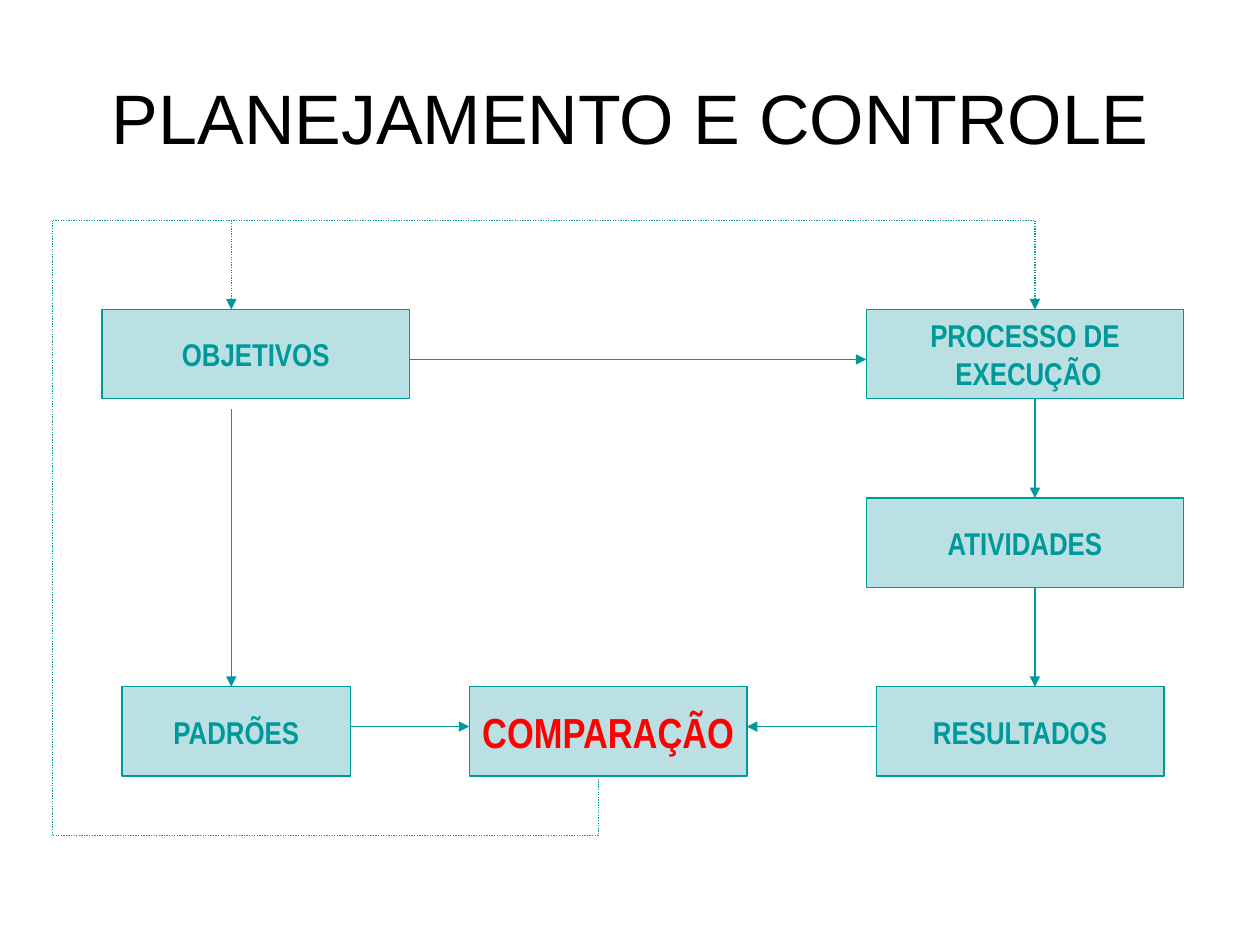
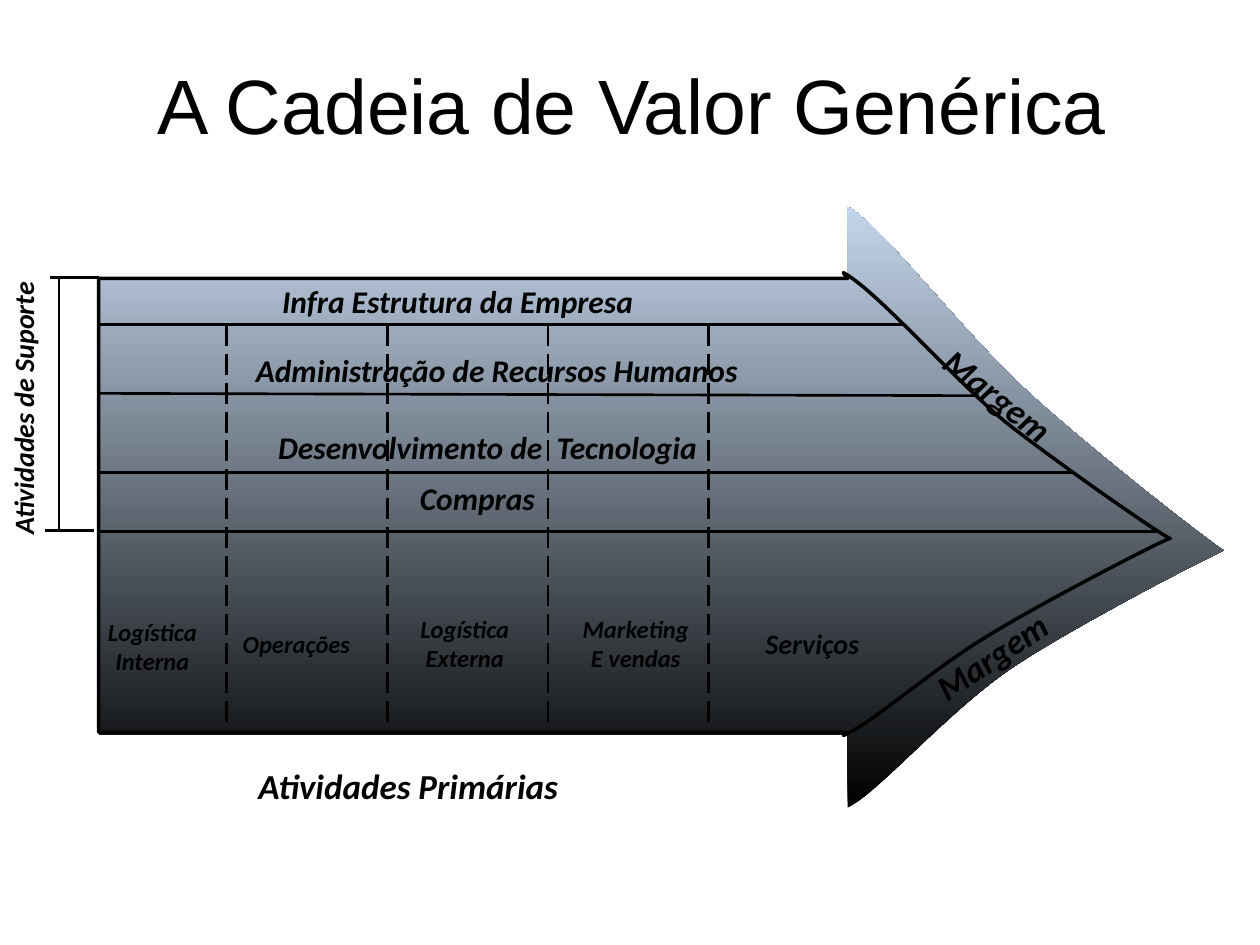
from dataclasses import dataclass
from typing import Optional

from lxml import etree
from pptx import Presentation
from pptx.dml.color import RGBColor
from pptx.enum import dml, shapes, text
from pptx.oxml import ns
from pptx.util import Pt

BLACK = RGBColor(0x00, 0x00, 0x00)
WHITE = RGBColor(0xFF, 0xFF, 0xFF)
RED = RGBColor(0xFF, 0x00, 0x00)
TEAL = RGBColor(0x00, 0x99, 0x99)
PALE_TEAL = RGBColor(0xBB, 0xE0, 0xE3)
PALE_BLUE = RGBColor(0xC4, 0xD6, 0xEB)
DOTTED = dml.MSO_LINE.ROUND_DOT
DASHED = dml.MSO_LINE.LONG_DASH

# Flow chart grid
ROWS = [176.8 + 107.8 * i for i in range(3)]
BOX_HEIGHT = 51.1
LEFT_AXIS, RIGHT_AXIS, MIDDLE_AXIS = 132.2, 591.4, 342
LOOP_LEFT, LOOP_TOP, LOOP_BOTTOM = 30.2, 126, 477.4
GOAL_Y, RESULT_Y = 205.4, 415.2

# Value chain grid
CHAIN_LEFT, HEAD_LEFT = 56.4, 484.4
DIVIDERS = [129.6 + 91.8 * i for i in range(4)]
DIVIDER_TOP, DIVIDER_BOTTOM = 185.6, 416.2


@dataclass
class Box:
    label: str
    left: float
    top: float
    width: float
    size: float = 18
    color: RGBColor = TEAL
    last_indent: float = 0


@dataclass
class Line:
    x1: float
    y1: float
    x2: float
    y2: float
    color: RGBColor = BLACK
    width: float = 1.5
    dash: Optional[dml.MSO_LINE] = None
    arrow: bool = False


@dataclass
class Label:
    words: str
    left: float
    top: float
    width: float
    height: float
    size: float = 18
    rotation: float = 0


def flow(x1: float, y1: float, x2: float, y2: float, arrow: bool = True,
         dash: Optional[dml.MSO_LINE] = None) -> Line:
    return Line(x1, y1, x2, y2, TEAL, 0.75, dash, arrow)


BOXES = [
    Box("PROCESSO DE\nEXECUÇÃO", 495, ROWS[0], 181.4, last_indent=4.1),
    Box("ATIVIDADES", 495, ROWS[1], 181.4),
    Box("RESULTADOS", 500.7, ROWS[2], 164.4),
    Box("COMPARAÇÃO", 268.2, ROWS[2], 158.6, 24, RED),
    Box("PADRÕES", 69.8, ROWS[2], 130.5),
    Box("OBJETIVOS", 58.3, ROWS[0], 175.7),
]

LOOP = [(MIDDLE_AXIS, ROWS[2] + BOX_HEIGHT), (MIDDLE_AXIS, LOOP_BOTTOM),
        (LOOP_LEFT, LOOP_BOTTOM), (LOOP_LEFT, LOOP_TOP), (RIGHT_AXIS, LOOP_TOP)]

FLOWS = [
    flow(234, GOAL_Y, 495, GOAL_Y),
    *(flow(RIGHT_AXIS, upper + BOX_HEIGHT, RIGHT_AXIS, lower)
      for upper, lower in zip(ROWS, ROWS[1:])),
    flow(500.7, RESULT_Y, 426.8, RESULT_Y),
    flow(200.3, RESULT_Y, 268.2, RESULT_Y),
    flow(LEFT_AXIS, 233.8, LEFT_AXIS, ROWS[2]),
    *(flow(*a, *b, arrow=False, dash=DOTTED) for a, b in zip(LOOP, LOOP[1:])),
    *(flow(x, LOOP_TOP, x, ROWS[0], dash=DOTTED) for x in (RIGHT_AXIS, LEFT_AXIS)),
]

# Two numbers are a corner; six are a curve: two controls and an end
CHAIN_BODY = [
    (CHAIN_LEFT, 159.8), (HEAD_LEFT, 159.8), (HEAD_LEFT, 118.1),
    (503.3, 128.2, 552.2, 192.2, 588.2, 224.6),
    (624.2, 257.8, 702, 318.2, 699.8, 314.6),
    (699.1, 313.9, 613.4, 357.8, 577.4, 382.3),
    (541.4, 406.8, 499.7, 455, HEAD_LEFT, 461.5),
    (HEAD_LEFT, 419.8), (CHAIN_LEFT, 419.8),
]
CHAIN_OUTLINE = [
    (CHAIN_LEFT, 159.1), (HEAD_LEFT, 159.1), (481.9, 155.8),
    (500.4, 165.6, 542.9, 214.6, 573.8, 240.5),
    (605.5, 265.7, 671, 311, 668.9, 307.6),
    (668.2, 306.7, 594, 344.9, 563, 364.3),
    (532.1, 383, 497.5, 414, 481.9, 420.3),
    (HEAD_LEFT, 418.5), (CHAIN_LEFT, 418.5),
]

CHAIN_LINES = [
    Line(CHAIN_LEFT, DIVIDER_TOP, 517, DIVIDER_TOP),
    Line(CHAIN_LEFT, 224.8, 559.4, 226.1),
    Line(CHAIN_LEFT, 270, 613.4, 270),
    Line(CHAIN_LEFT, 303.8, 663.1, 303.8),
    *(Line(x, DIVIDER_TOP, x, DIVIDER_BOTTOM, dash=DASHED) for x in DIVIDERS),
    Line(28.4, 158.6, CHAIN_LEFT, 158.6),
    Line(25.5, 303.2, 53.6, 303.2),
    Line(33.8, 157.7, 33.8, 303.8),
]

CHAIN_LABELS = [
    Label("Logística Interna", 50.4, 348.8, 73.4, 41, 14),
    Label("Infra Estrutura da Empresa", 112.5, 157.7, 298, 29),
    Label("Administração de Recursos Humanos", 134.9, 196.9, 298, 29),
    Label("Desenvolvimento de  Tecnologia", 129.6, 241.2, 298, 29),
    Label("Compras", 123.8, 270, 298, 29),
    Label("Marketing\nE vendas", 322.6, 347.3, 81.4, 41, 14),
    Label("Logística Externa", 231.8, 347.3, 67.7, 41, 14),
    Label("Operações", 130.2, 355.7, 78.5, 24.5, 14),
    Label("Serviços", 427.5, 354.5, 73.4, 26.6, 16),
    Label("Atividades Primárias", 90, 433.4, 286.6, 31.7, 20),
    Label("Margem", 423.4, 359.3, 286.6, 31.7, 20, 325.8),
    Label("Margem", 427, 210.2, 286.6, 31.7, 20, 38.4),
    Label("Atividades de Suporte", -68.4, 220, 163.4, 26.6, 16, 270),
]


def write(tf, words: str, color: RGBColor, **font) -> None:
    """Fill a text frame with centred paragraphs, one per line of words."""
    tf.text = words
    for p in tf.paragraphs:
        p.alignment = text.PP_ALIGN.CENTER
        for r in p.runs:
            r.font.color.rgb = color
            for name, value in font.items():
                setattr(r.font, name, value)


def add_titled_slide(prs, title: str, size: float, left: float, top: float,
                     width: float, height: float):
    s = prs.slides.add_slide(prs.slide_layouts[5])
    s.background.fill.solid()
    s.background.fill.fore_color.rgb = WHITE
    sp = s.shapes.title
    place = {"left": left, "top": top, "width": width, "height": height}
    for name, value in place.items():
        setattr(sp, name, Pt(value))
    sp.text_frame.auto_size = text.MSO_AUTO_SIZE.NONE
    sp.text_frame.vertical_anchor = text.MSO_ANCHOR.MIDDLE
    write(sp.text_frame, title, BLACK, name="Arial", size=Pt(size))
    return s


def draw_box(s, box: Box) -> None:
    sp = s.shapes.add_shape(shapes.MSO_SHAPE.RECTANGLE, Pt(box.left), Pt(box.top),
                            Pt(box.width), Pt(BOX_HEIGHT))
    sp.shadow.inherit = False
    sp.fill.solid()
    sp.fill.fore_color.rgb = PALE_TEAL
    sp.line.color.rgb = TEAL
    sp.line.width = Pt(0.75)
    tf = sp.text_frame
    tf.word_wrap = False
    tf.vertical_anchor = text.MSO_ANCHOR.MIDDLE
    write(tf, box.label, box.color, name="Arial Narrow", size=Pt(box.size), bold=True)
    if box.last_indent:
        props = tf.paragraphs[-1]._p.get_or_add_pPr()
        props.set("marL", str(Pt(box.last_indent)))


def draw_line(s, line: Line) -> None:
    ends = [Pt(v) for v in (line.x1, line.y1, line.x2, line.y2)]
    sp = s.shapes.add_connector(shapes.MSO_CONNECTOR.STRAIGHT, *ends)
    sp.line.color.rgb = line.color
    sp.line.width = Pt(line.width)
    if line.dash is not None:
        sp.line.dash_style = line.dash
    props = sp._element.spPr
    if line.arrow:
        etree.SubElement(props.find(ns.qn("a:ln")), ns.qn("a:tailEnd"), type="triangle")
    etree.SubElement(props, ns.qn("a:effectLst"))


def draw_label(s, label: Label) -> None:
    sp = s.shapes.add_textbox(Pt(label.left), Pt(label.top),
                              Pt(label.width), Pt(label.height))
    sp.rotation = label.rotation
    sp.text_frame.word_wrap = True
    sp.text_frame.auto_size = text.MSO_AUTO_SIZE.SHAPE_TO_FIT_TEXT
    write(sp.text_frame, label.words, BLACK, name="Calibri", size=Pt(label.size),
          bold=True, italic=True)


def draw_outline(s, steps: list):
    """Draw a closed freeform, joining each curve's three points into one Bézier."""
    start, *rest = [(Pt(x), Pt(y)) for step in steps
                    for x, y in zip(step[::2], step[1::2])]
    builder = s.shapes.build_freeform(*start)
    builder.add_line_segments(rest, close=True)
    sp = builder.convert_to_shape()
    sp.shadow.inherit = False

    segments = iter(list(sp._element.iter(ns.qn("a:lnTo"))))
    for step in steps[1:]:
        first = next(segments)
        if len(step) == 6:
            first.tag = ns.qn("a:cubicBezTo")
            for _ in range(2):
                extra = next(segments)
                first.append(extra[0])
                extra.getparent().remove(extra)
    return sp


def build_control_slide(prs) -> None:
    s = add_titled_slide(prs, "PLANEJAMENTO E CONTROLE", 40, 36, 21.6, 648, 90)
    for box in BOXES:
        draw_box(s, box)
    for line in FLOWS:
        draw_line(s, line)


def build_value_chain_slide(prs) -> None:
    s = add_titled_slide(prs, "A Cadeia de Valor Genérica", 44, 28.3, 22.3, 666, 73.4)

    body = draw_outline(s, CHAIN_BODY)
    body.line.fill.background()
    body.fill.gradient()
    body.fill.gradient_angle = 90
    for stop, color in zip(body.fill.gradient_stops, (BLACK, PALE_BLUE)):
        stop.color.rgb = color

    outline = draw_outline(s, CHAIN_OUTLINE)
    outline.fill.background()
    outline.line.color.rgb = BLACK
    outline.line.width = Pt(2)

    for line in CHAIN_LINES:
        draw_line(s, line)
    for label in CHAIN_LABELS:
        draw_label(s, label)


def main() -> None:
    prs = Presentation()
    prs.slide_width, prs.slide_height = Pt(720), Pt(540)
    build_control_slide(prs)
    build_value_chain_slide(prs)
    prs.save("out.pptx")


if __name__ == "__main__":
    main()
